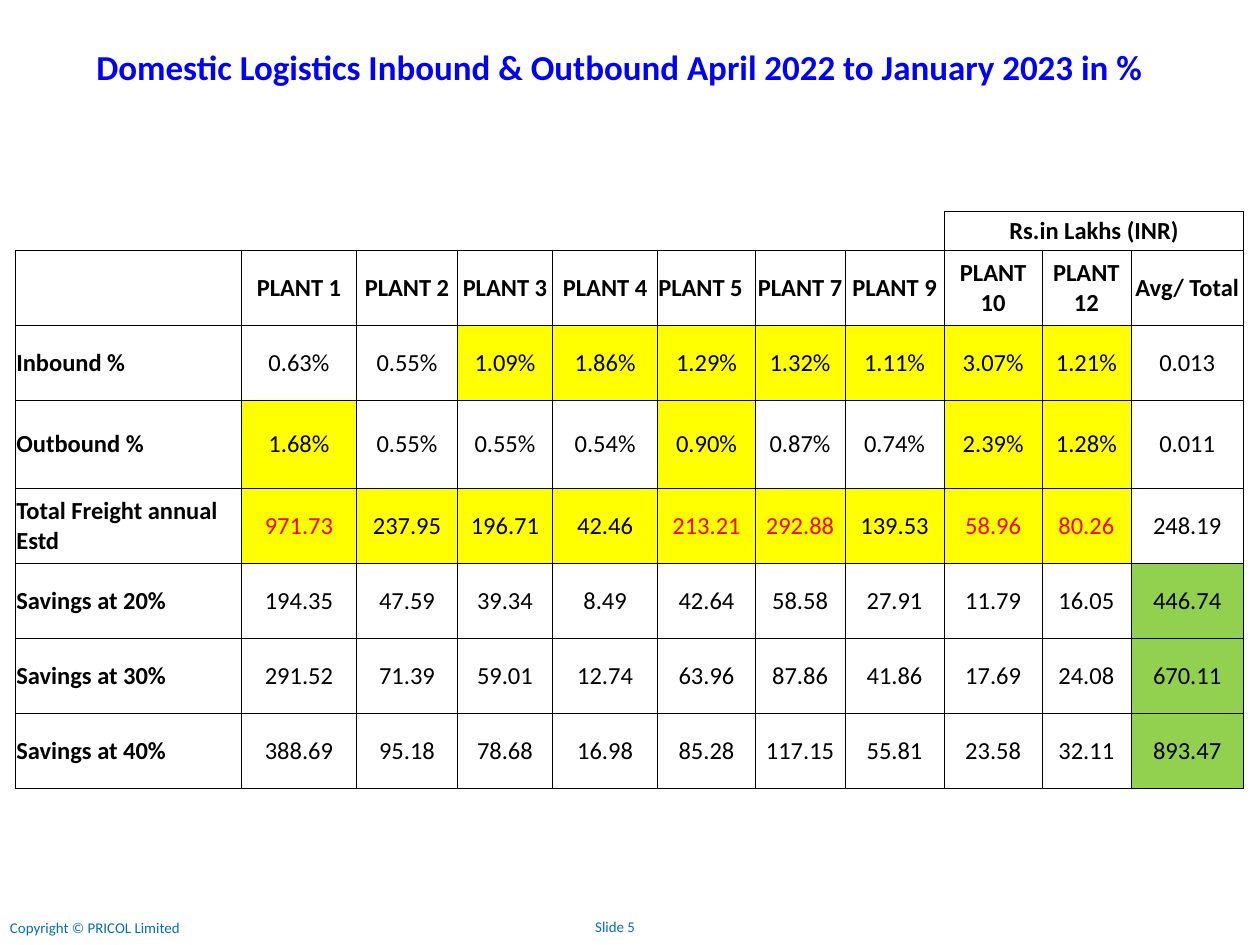
from lxml.etree import SubElement
from pptx import Presentation
from pptx.dml.color import RGBColor
from pptx.enum.text import MSO_ANCHOR, PP_ALIGN
from pptx.oxml.ns import qn
from pptx.util import Inches, Pt

COLORS = {
    "title": "0000FF",
    "footer": "046EB6",
    "text": "000000",
    "alert": "FF0000",
    "plain": "FFFFFF",
    "highlight": "FFFF00",
    "saving": "92D050",
}

COLUMN_WIDTHS = [3.58, 1.83, 1.6, 0.25, 1.26, 1.67, 1.55, 1.26, 0.16,
                 1.58, 1.55, 1.41, 1.79]
ROW_HEIGHTS = [0.61, 0.61, 1.19, 1.19, 1.4, 1.19, 1.19, 1.19, 1.19]
LAST_ROW, LAST_COLUMN = len(ROW_HEIGHTS) - 1, len(COLUMN_WIDTHS) - 1
UNIT_ROW, HEADER_ROW = 1, 2
UNIT_COLUMN = 10

# First and last column of each merged run, by row
MERGES = {0: [(2, 3), (8, 9)], UNIT_ROW: [(0, 9), (10, 12)]}
BODY_MERGES = [(3, 4), (7, 8)]
VALUE_COLUMNS = [1, 2, 3, 5, 6, 7, 9, 10, 11, 12]

PLANTS = [1, 2, 3, 4, 5, 7, 9, 10, 12]
HEADERS = [f"PLANT {plant}" for plant in PLANTS] + ["Avg/ Total"]

# Label, values, highlighted plants
BODY = [
    ("Inbound %", "0.63% 0.55% 1.09% 1.86% 1.29% 1.32% 1.11% 3.07% 1.21% 0.013",
     [3, 4, 5, 7, 9, 10, 12]),
    ("Outbound %", "1.68% 0.55% 0.55% 0.54% 0.90% 0.87% 0.74% 2.39% 1.28% 0.011",
     [1, 5, 10, 12]),
    ("Total Freight annual Estd",
     "971.73 237.95 196.71 42.46 213.21 292.88 139.53 58.96 80.26 248.19", PLANTS),
    ("Savings at 20%",
     "194.35 47.59 39.34 8.49 42.64 58.58 27.91 11.79 16.05 446.74", []),
    ("Savings at 30%",
     "291.52 71.39 59.01 12.74 63.96 87.86 41.86 17.69 24.08 670.11", []),
    ("Savings at 40%",
     "388.69 95.18 78.68 16.98 85.28 117.15 55.81 23.58 32.11 893.47", []),
]
ALERT_PLANTS = [1, 5, 7, 10, 12]


def border_widths(row, column):
    """Widths in points of the left, right, top and bottom borders."""
    if row == 0:
        return 0, 0, 0, 0.5 if column >= UNIT_COLUMN else 0
    if row == UNIT_ROW:
        if column >= UNIT_COLUMN:
            return 0.5, 0.5, 0.5, 0.5
        return 0, 0.5, 0, 1
    return (1 if column == 0 else 0.5,
            1 if column == LAST_COLUMN else 0.5,
            1 if row == HEADER_ROW and column < UNIT_COLUMN else 0.5,
            1 if row == LAST_ROW else 0.5)


class SlideBuilder:
    font_name = "Calibri"
    table_size = 28

    def __init__(self, slide):
        self.slide = slide

    def style(self, paragraph, size, color, bold=False, align=PP_ALIGN.LEFT):
        paragraph.alignment = align
        paragraph.font.name = self.font_name
        paragraph.font.size = Pt(size)
        paragraph.font.bold = bold
        paragraph.font.color.rgb = RGBColor.from_string(COLORS[color])

    def text(self, left, top, width, height, words, size, color, **style):
        shape = self.slide.shapes.add_textbox(
            Inches(left), Inches(top), Inches(width), Inches(height))
        shape.text_frame.word_wrap = True
        paragraph = shape.text_frame.paragraphs[0]
        paragraph.text = words
        self.style(paragraph, size, color, **style)

    def table(self, left, top, widths, heights):
        table = self.slide.shapes.add_table(
            len(heights), len(widths), Inches(left), Inches(top),
            Inches(sum(widths)), Inches(sum(heights))).table
        table.first_row = table.horz_banding = False
        for column, width in zip(table.columns, widths):
            column.width = Inches(width)
        for row, height in zip(table.rows, heights):
            row.height = Inches(height)
        for row in range(len(heights)):
            for column in range(len(widths)):
                cell = table.cell(row, column)
                self.borders(cell, border_widths(row, column))
                cell.fill.background()
            for first, last in MERGES.get(row, BODY_MERGES):
                table.cell(row, first).merge(table.cell(row, last))
        return table

    def borders(self, cell, widths):
        properties = cell._tc.get_or_add_tcPr()
        for side, width in zip("LRTB", widths):
            line = SubElement(properties, qn(f"a:ln{side}"), w=str(Pt(width)))
            if width:
                fill = SubElement(line, qn("a:solidFill"))
                SubElement(fill, qn("a:srgbClr"), val=COLORS["text"])
            else:
                SubElement(line, qn("a:noFill"))

    def cell(self, cell, words, fill=None, color="text", bold=False,
             align=PP_ALIGN.CENTER):
        cell.vertical_anchor = MSO_ANCHOR.MIDDLE
        cell.margin_left = cell.margin_right = cell.margin_top = Inches(0.01)
        cell.margin_bottom = 0
        paragraph = cell.text_frame.paragraphs[0]
        paragraph.text = words
        self.style(paragraph, self.table_size, color, bold, align)
        if fill:
            cell.fill.solid()
            cell.fill.fore_color.rgb = RGBColor.from_string(COLORS[fill])


def main():
    presentation = Presentation()
    presentation.slide_width = Inches(20)
    presentation.slide_height = Inches(15)
    builder = SlideBuilder(presentation.slides.add_slide(presentation.slide_layouts[6]))

    # Footer
    builder.text(0.06, 14.53, 3.11, 0.39, "Copyright © PRICOL Limited", 17, "footer")
    builder.text(9.35, 14.52, 1.3, 0.39, "Slide 5", 17, "footer")

    # Title
    builder.text(0.58, 0.67, 18.5, 0.75,
                 "Domestic Logistics Inbound & Outbound April 2022 to January 2023 in %",
                 40, "title", bold=True, align=PP_ALIGN.CENTER)

    # Table headings
    table = builder.table(0.25, 2.75, COLUMN_WIDTHS, ROW_HEIGHTS)
    builder.cell(table.cell(UNIT_ROW, UNIT_COLUMN), "Rs.in Lakhs (INR)", "plain", bold=True)
    for column, header in zip(VALUE_COLUMNS, HEADERS):
        align = PP_ALIGN.LEFT if header == "PLANT 5" else PP_ALIGN.CENTER
        builder.cell(table.cell(HEADER_ROW, column), header, bold=True, align=align)

    # Table body
    for row, (label, values, highlighted) in enumerate(BODY, HEADER_ROW + 1):
        builder.cell(table.cell(row, 0), label, bold=True, align=PP_ALIGN.LEFT)
        for column, plant, value in zip(VALUE_COLUMNS, PLANTS + ["total"], values.split()):
            fill = "highlight" if plant in highlighted else "plain"
            if plant == "total" and label.startswith("Savings"):
                fill = "saving"
            alert = label.startswith("Total") and plant in ALERT_PLANTS
            builder.cell(table.cell(row, column), value, fill, "alert" if alert else "text")

    presentation.save("out.pptx")


if __name__ == "__main__":
    main()
